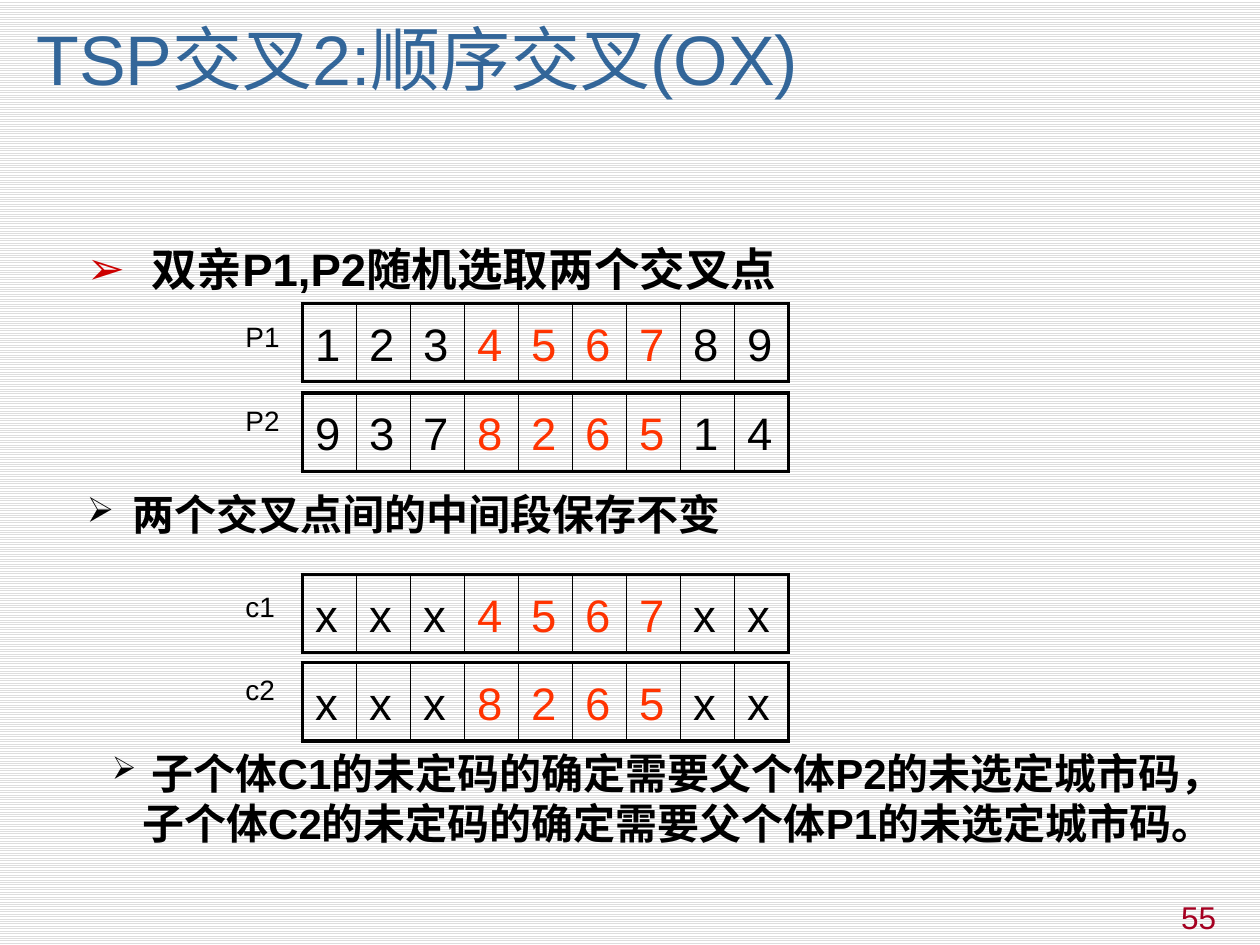
from lxml import etree
from pptx import Presentation
from pptx.dml.color import RGBColor
from pptx.enum.dml import MSO_PATTERN
from pptx.enum.text import MSO_ANCHOR, MSO_AUTO_SIZE, PP_ALIGN
from pptx.oxml.ns import qn
from pptx.util import Inches, Pt

BLACK = RGBColor(0x00, 0x00, 0x00)
WHITE = RGBColor(0xFF, 0xFF, 0xFF)
STRIPE = RGBColor(0xDD, 0xDD, 0xDD)
TITLE_BLUE = RGBColor(0x33, 0x66, 0x99)
BULLET_RED = RGBColor(0xCC, 0x00, 0x00)
SEGMENT_RED = RGBColor(0xFF, 0x33, 0x00)
NUMBER_RED = RGBColor(0xA5, 0x00, 0x21)

SEGMENT = range(3, 7)  # genes between the two crossover points
GENE_WIDTH = 3.86 / 9
GENE_HEIGHT = 0.62
TABLE_LEFT = 2.4
LABEL_LEFT = 1.85


def style(paragraph, size, color=BLACK, bold=False):
    font = paragraph.font
    font.name = "Arial"
    font.size = Pt(size)
    font.bold = bold
    font.color.rgb = color


def place(shape, left, top, width, height):
    shape.left, shape.top = Inches(left), Inches(top)
    shape.width, shape.height = Inches(width), Inches(height)


def add_text(slide, box, text, wrap=True):
    """Add a text box and return its only paragraph."""
    frame = slide.shapes.add_textbox(*map(Inches, box)).text_frame
    frame.word_wrap = wrap
    paragraph = frame.paragraphs[0]
    paragraph.text = text
    return paragraph


def set_bullet(paragraph, hang, color=BLACK, percent=100):
    props = paragraph._p.get_or_add_pPr()
    props.set("marL", str(Inches(hang)))
    props.set("indent", str(-Inches(hang)))
    fill = etree.SubElement(props, qn("a:buClr"))
    etree.SubElement(fill, qn("a:srgbClr"), val=str(color))
    etree.SubElement(props, qn("a:buSzPct"), val=str(percent * 1000))
    etree.SubElement(props, qn("a:buChar"), char="➢")


def set_borders(cell, widths):
    """Draw black borders; widths are in points for left, right, top, bottom."""
    props = cell._tc.get_or_add_tcPr()
    for position, (side, width) in enumerate(zip("LRTB", widths)):
        line = etree.Element(qn(f"a:ln{side}"), w=str(Pt(width)))
        fill = etree.SubElement(line, qn("a:solidFill"))
        etree.SubElement(fill, qn("a:srgbClr"), val=str(BLACK))
        props.insert(position, line)


def add_title(slide, box):
    title = slide.shapes.title
    place(title, *box)
    frame = title.text_frame
    frame.auto_size = MSO_AUTO_SIZE.NONE
    frame.vertical_anchor = MSO_ANCHOR.BOTTOM
    paragraph = frame.paragraphs[0]
    paragraph.text = "TSP交叉2:顺序交叉(OX)"
    paragraph.alignment = PP_ALIGN.LEFT
    paragraph._p.get_or_add_pPr().set("indent", str(Inches(0.19)))
    style(paragraph, 40, TITLE_BLUE)


def add_first_step(slide, box):
    body = slide.placeholders[1]
    place(body, *box)
    body.text_frame.auto_size = MSO_AUTO_SIZE.NONE
    paragraph = body.text_frame.paragraphs[0]
    paragraph.text = "双亲P1,P2随机选取两个交叉点"
    paragraph.alignment = PP_ALIGN.JUSTIFY
    paragraph.line_spacing = 1.2
    paragraph.space_before = Pt(0)
    set_bullet(paragraph, 0.51, BULLET_RED)
    style(paragraph, 26, bold=True)


def add_step(slide, box, text, hang, percent):
    paragraph = add_text(slide, box, text)
    set_bullet(paragraph, hang, percent=percent)
    style(paragraph, 24, bold=True)


def add_chromosome(slide, label, genes, top, label_top):
    label_paragraph = add_text(slide, (LABEL_LEFT, label_top, 0.47, 0.37), label, wrap=False)
    style(label_paragraph, 16)

    last = len(genes) - 1
    table = slide.shapes.add_table(
        1, len(genes), Inches(TABLE_LEFT), Inches(top),
        Inches(GENE_WIDTH * len(genes)), Inches(GENE_HEIGHT)).table
    table.first_row = table.horz_banding = False
    for i, gene in enumerate(genes):
        cell = table.cell(0, i)
        cell.fill.background()
        set_borders(cell, (2.25 if i == 0 else 1, 2.25 if i == last else 1, 2.25, 2.25))
        paragraph = cell.text_frame.paragraphs[0]
        paragraph.text = gene
        paragraph.alignment = PP_ALIGN.JUSTIFY
        paragraph.line_spacing = 1.2
        style(paragraph, 26, SEGMENT_RED if i in SEGMENT else BLACK)


def add_page_number(slide, box):
    paragraph = add_text(slide, box, "55")
    paragraph.alignment = PP_ALIGN.RIGHT
    style(paragraph, 18, NUMBER_RED)


def main():
    deck = Presentation()
    deck.slide_width, deck.slide_height = Inches(10), Inches(7.5)
    slide = deck.slides.add_slide(deck.slide_layouts[1])
    background = slide.background.fill
    background.patterned()
    background.pattern = MSO_PATTERN.LIGHT_HORIZONTAL
    background.fore_color.rgb = STRIPE
    background.back_color.rgb = WHITE

    add_title(slide, (0, 0, 10, 0.84))
    add_first_step(slide, (0.59, 1.78, 7.24, 0.63))
    add_chromosome(slide, "P1", "123456789", 2.41, 2.49)
    add_chromosome(slide, "P2", "937826514", 3.12, 3.15)
    add_step(slide, (0.59, 3.83, 5.75, 0.5), "两个交叉点间的中间段保存不变", 0.36, 83)
    add_chromosome(slide, "c1", "xxx4567xx", 4.56, 4.63)
    add_chromosome(slide, "c2", "xxx8265xx", 5.26, 5.29)
    add_step(slide, (0.79, 5.88, 9.17, 0.9),
             " 子个体C1的未定码的确定需要父个体P2的未选定城市码，"
             "子个体C2的未定码的确定需要父个体P1的未选定城市码。", 0.24, 75)
    add_page_number(slide, (7.58, 7.08, 2.17, 0.39))
    deck.save("out.pptx")


if __name__ == "__main__":
    main()
